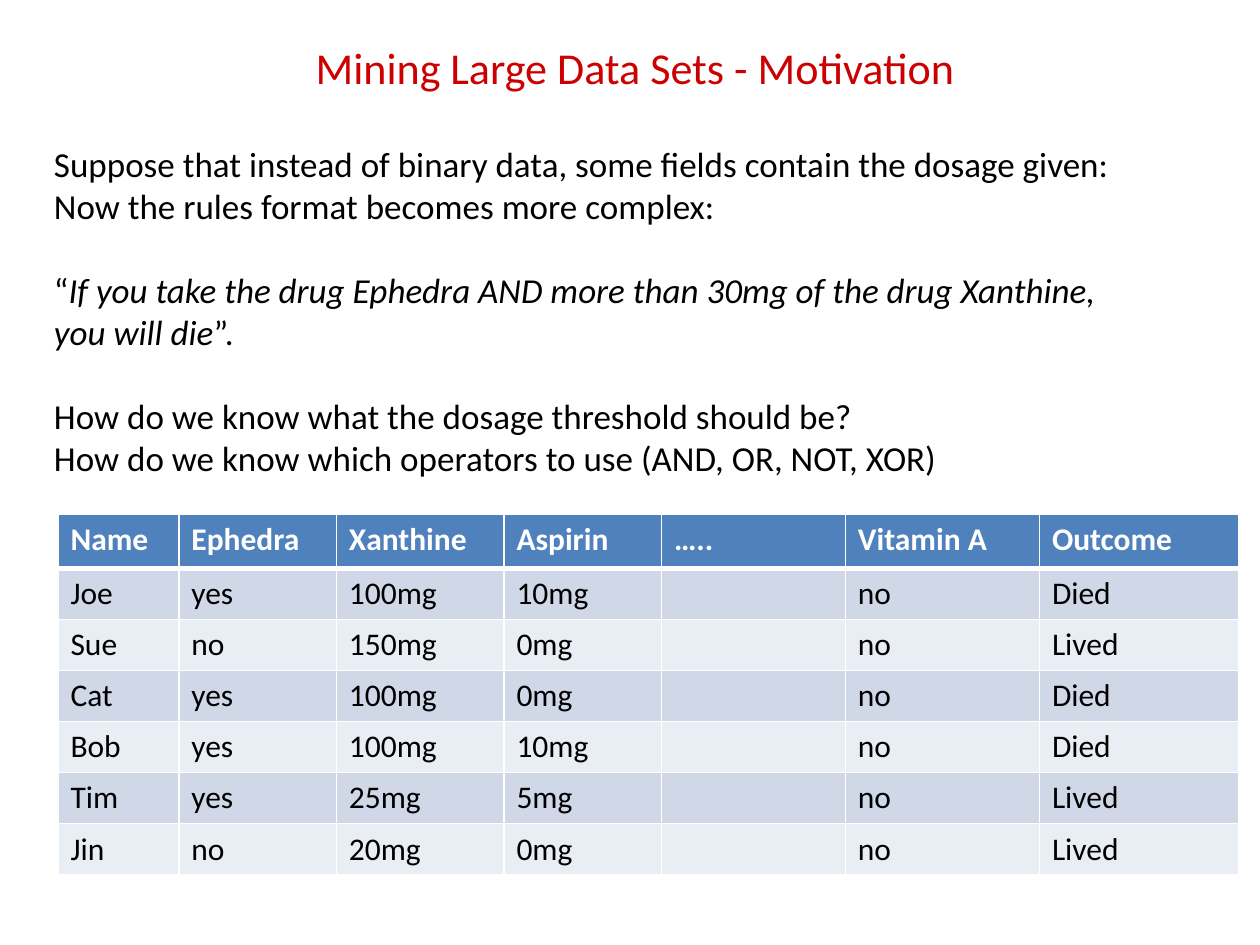
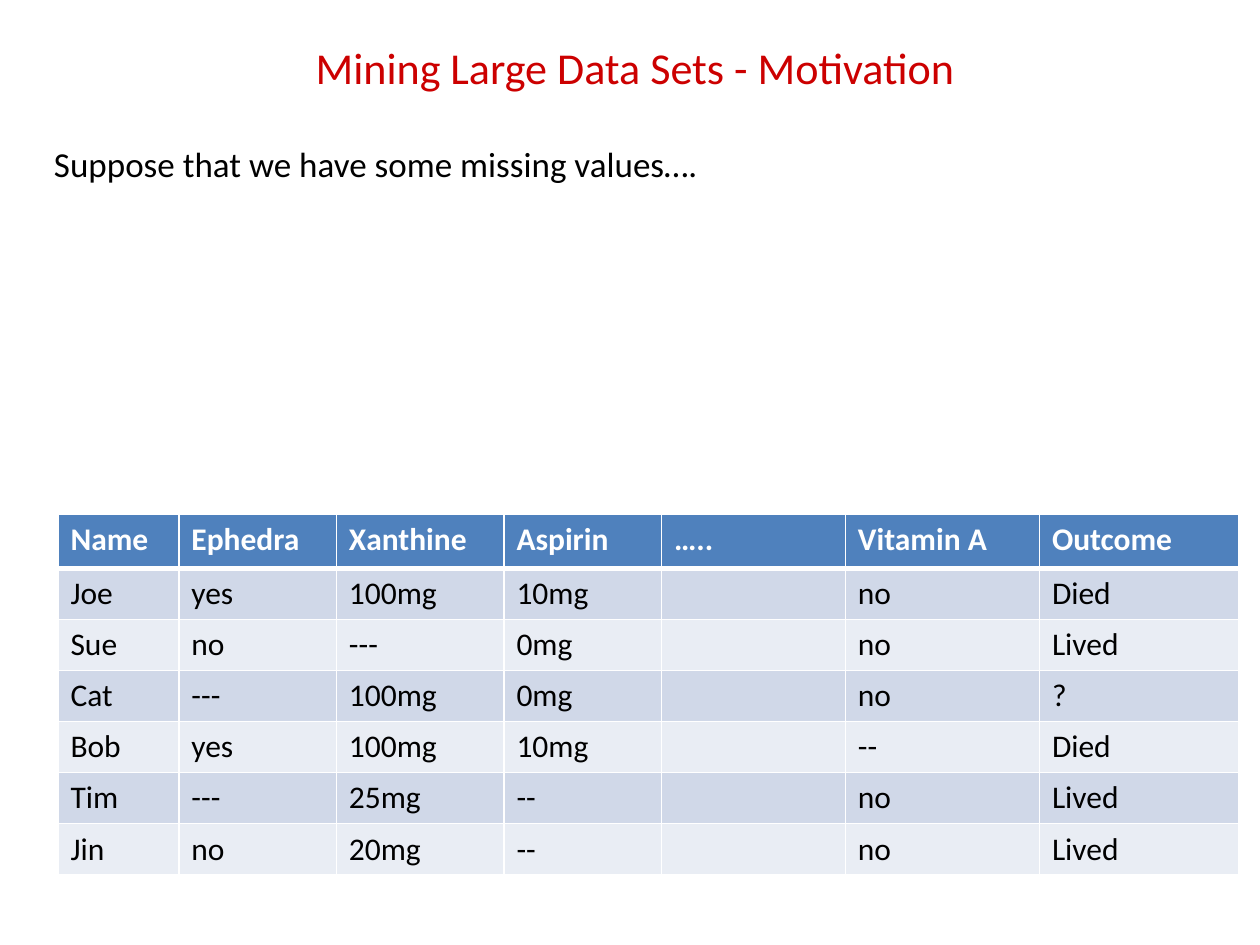
"""Build two slides on mining data sets with dosages and with missing values."""
from lxml.etree import SubElement
from pptx import Presentation
from pptx.dml.color import RGBColor
from pptx.enum.text import MSO_ANCHOR, MSO_AUTO_SIZE, PP_ALIGN
from pptx.oxml.ns import qn
from pptx.util import Inches, Pt

RED = RGBColor(0xCC, 0x00, 0x00)
BLACK = RGBColor(0x00, 0x00, 0x00)
WHITE = RGBColor(0xFF, 0xFF, 0xFF)
BLUE = RGBColor(0x4F, 0x81, 0xBD)
BANDS = RGBColor(0xE9, 0xED, 0xF4), RGBColor(0xD0, 0xD8, 0xE8)

TITLE = "Mining Large Data Sets - Motivation"
COL_WIDTHS = [0.96, 1.25, 1.33, 1.25, 1.46, 1.54, 1.58]
HEADER_HEIGHT, ROW_HEIGHT = 0.43, 0.4
PATIENTS = [
    ["Name", "Ephedra", "Xanthine", "Aspirin", "…..", "Vitamin A", "Outcome"],
    ["Joe", "yes", "100mg", "10mg", "", "no", "Died"],
    ["Sue", "no", "150mg", "0mg", "", "no", "Lived"],
    ["Cat", "yes", "100mg", "0mg", "", "no", "Died"],
    ["Bob", "yes", "100mg", "10mg", "", "no", "Died"],
    ["Tim", "yes", "25mg", "5mg", "", "no", "Lived"],
    ["Jin", "no", "20mg", "0mg", "", "no", "Lived"],
]
MISSING = {(2, 2): "---", (3, 1): "---", (3, 6): "?", (4, 5): "--",
           (5, 1): "---", (5, 3): "--", (6, 3): "--"}
DOSAGE_TEXT = [
    (["Suppose that instead of binary data, some fields contain the dosage "
      "given: Now the rules format becomes more complex:"], 0),
    (["“", "If you take the drug Ephedra AND more than 30mg of the drug "
      "Xanthine, you will die", "”."], 24),
    (["How do we know what the dosage threshold should be?"], 24),
    (["How do we know which operators to use (AND, OR, NOT, XOR)"], 0),
]
MISSING_TEXT = [(["Suppose that we have some missing values…."], 0)]


def add_run(p, text, size=20, color=BLACK, bold=False, italic=False):
    r = p.add_run()
    r.text = text
    r.font.name = "Calibri"
    r.font.size = Pt(size)
    r.font.color.rgb = color
    r.font.bold = bold
    r.font.italic = italic


def set_borders(cell, top=1, bottom=1):
    tc_pr = cell._tc.get_or_add_tcPr()
    for side, width in (("L", 1), ("R", 1), ("T", top), ("B", bottom)):
        ln = SubElement(tc_pr, qn(f"a:ln{side}"), w=str(Pt(width)))
        fill = SubElement(ln, qn("a:solidFill"))
        SubElement(fill, qn("a:srgbClr"), val=str(WHITE))


class Deck:
    def __init__(self):
        self.prs = Presentation()
        self.prs.slide_width, self.prs.slide_height = Inches(10), Inches(7.5)
        self.s = None

    def slide(self, title):
        self.s = self.prs.slides.add_slide(self.prs.slide_layouts[5])
        sp = self.s.shapes.title
        sp.left, sp.top = Inches(0.25), Inches(0.25)
        sp.width, sp.height = Inches(9.58), Inches(0.56)
        tf = sp.text_frame
        tf.auto_size = MSO_AUTO_SIZE.NONE
        tf.vertical_anchor = MSO_ANCHOR.MIDDLE
        tf.margin_left = tf.margin_right = 0
        p = tf.paragraphs[0]
        p.alignment = PP_ALIGN.CENTER
        add_run(p, title, size=25.2, color=RED)

    def table(self, rows):
        height = HEADER_HEIGHT + ROW_HEIGHT * (len(rows) - 1)
        table = self.s.shapes.add_table(
            len(rows), len(COL_WIDTHS), Inches(0.46), Inches(4.08),
            Inches(sum(COL_WIDTHS)), Inches(height)).table
        for col, width in zip(table.columns, COL_WIDTHS):
            col.width = Inches(width)
        for i, values in enumerate(rows):
            header = i == 0
            table.rows[i].height = Inches(HEADER_HEIGHT if header else ROW_HEIGHT)
            for j, value in enumerate(values):
                cell = table.cell(i, j)
                set_borders(cell, top=3 if i == 1 else 1, bottom=3 if header else 1)
                cell.fill.solid()
                cell.fill.fore_color.rgb = BLUE if header else BANDS[i % 2]
                if value:
                    add_run(cell.text_frame.paragraphs[0], value, size=18,
                            color=WHITE if header else BLACK, bold=header)

    def text(self, paragraphs, height):
        sp = self.s.shapes.add_textbox(
            Inches(0.33), Inches(1.08), Inches(8.92), Inches(height))
        tf = sp.text_frame
        tf.word_wrap = True
        tf.auto_size = MSO_AUTO_SIZE.SHAPE_TO_FIT_TEXT
        for i, (parts, space) in enumerate(paragraphs):
            p = tf.add_paragraph() if i else tf.paragraphs[0]
            if space:
                p.space_before = Pt(space)
            for k, part in enumerate(parts):
                add_run(p, part, italic=k == 1)


def main():
    deck = Deck()
    with_gaps = [[MISSING.get((i, j), value) for j, value in enumerate(row)]
                 for i, row in enumerate(PATIENTS)]
    for rows, paragraphs, height in ((PATIENTS, DOSAGE_TEXT, 3.1),
                                     (with_gaps, MISSING_TEXT, 0.77)):
        deck.slide(TITLE)
        deck.table(rows)
        deck.text(paragraphs, height)
    deck.prs.save("out.pptx")


if __name__ == "__main__":
    main()
